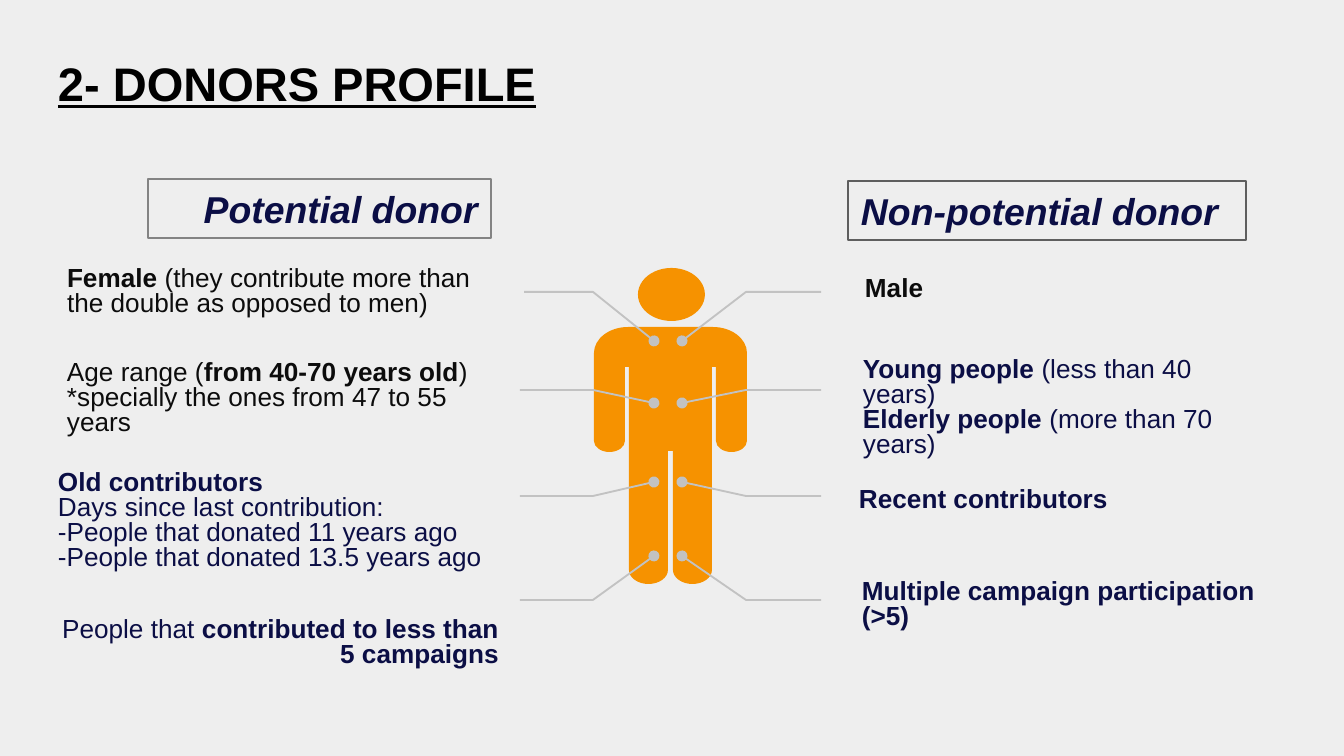
from dataclasses import dataclass

from lxml import etree
from pptx import Presentation
from pptx import util as u
from pptx.dml.color import RGBColor
from pptx.enum import shapes, text
from pptx.oxml.ns import qn

EMU_PER_PX = 914400 / 134.4
LEFT, RIGHT = text.PP_ALIGN.LEFT, text.PP_ALIGN.RIGHT


@dataclass(frozen=True)
class Theme:
    font: str = "Arial"
    background: str = "EEEEEE"
    title: str = "000000"
    dark: str = "0C0C0C"
    navy: str = "0B0E45"
    person: str = "F69200"
    leader: str = "C2C2C2"
    title_size: float = 25.2
    heading_size: int = 20
    body_size: int = 14


THEME = Theme()


def px(value):
    return u.Emu(round(value * EMU_PER_PX))


def rgb(color):
    return RGBColor.from_string(color)


def add_run(paragraph, words, size, color, bold=False, italic=False, underline=False):
    run = paragraph.add_run()
    run.text = words
    font = run.font
    font.name, font.size, font.color.rgb = THEME.font, u.Pt(size), rgb(color)
    font.bold, font.italic, font.underline = bold, italic, underline


def set_frame(frame, anchor, side=13, top=7, bottom=7):
    frame.word_wrap = True
    frame.vertical_anchor = anchor
    frame.margin_left = frame.margin_right = px(side)
    frame.margin_top, frame.margin_bottom = px(top), px(bottom)


def add_title(slide, words):
    title = slide.shapes.title
    title.left, title.top, title.width, title.height = map(px, (45, 40, 1253, 85))
    frame = title.text_frame
    set_frame(frame, text.MSO_ANCHOR.MIDDLE, top=13, bottom=13)
    frame.paragraphs[0].alignment = LEFT
    add_run(frame.paragraphs[0], words, THEME.title_size, THEME.title,
            bold=True, underline=True)


def add_heading(slide, box, words, outline, align):
    heading = slide.shapes.add_shape(shapes.MSO_SHAPE.RECTANGLE, *map(px, box))
    heading.shadow.inherit = False
    heading.fill.background()
    heading.line.color.rgb = rgb(outline)
    heading.line.width = u.Pt(0.75)
    frame = heading.text_frame
    set_frame(frame, text.MSO_ANCHOR.TOP)
    frame.auto_size = text.MSO_AUTO_SIZE.SHAPE_TO_FIT_TEXT
    frame.paragraphs[0].alignment = align
    add_run(frame.paragraphs[0], words, THEME.heading_size, THEME.navy,
            bold=True, italic=True)


def add_trait(slide, box, color, lines, align=LEFT, top=6):
    """Each line is a list of (words, bold) pairs."""
    frame = slide.shapes.add_textbox(*map(px, box)).text_frame
    set_frame(frame, text.MSO_ANCHOR.TOP, top=top)
    for index, line in enumerate(lines):
        paragraph = frame.add_paragraph() if index else frame.paragraphs[0]
        paragraph.line_spacing = 0.8
        paragraph.alignment = align
        for words, bold in line:
            add_run(paragraph, words, THEME.body_size, color, bold)


def add_outline(parent, points, close):
    start, *rest = [(px(x), px(y)) for x, y in points]
    builder = parent.shapes.build_freeform(*start, scale=1.0)
    builder.add_line_segments(rest, close=close)
    outline = builder.convert_to_shape()
    outline.shadow.inherit = False
    return outline


def add_leader(slide, points):
    """Bent line that ends in a round dot."""
    leader = add_outline(slide, points, close=False)
    leader.fill.background()
    leader.line.color.rgb = rgb(THEME.leader)
    leader.line.width = u.Pt(1)
    etree.SubElement(leader.line._get_or_add_ln(), qn("a:tailEnd"), type="oval")


def round_corners(outline):
    """Turn each pair of lines marked by a corner into one curve."""
    return [(point, outline[i - 1][:2] if i and outline[i - 1][2] else None)
            for i, (*point, is_corner) in enumerate(outline) if not is_corner]


def add_rounded_outline(parent, outline):
    """Outline of (x, y, is_corner); corners are rounded off with Bezier curves."""
    stops = round_corners(outline)
    shape = add_outline(parent, [stop for stop, _ in stops], close=True)
    left = min(x for (x, _), _ in stops)
    top = min(y for (_, y), _ in stops)
    segments = list(shape._element.iter(qn("a:lnTo")))
    for segment, (start, _), (end, corner) in zip(segments, stops, stops[1:]):
        if corner is None:
            continue
        controls = [[a + 0.55 * (c - a) for a, c in zip(anchor, corner)]
                    for anchor in (start, end)]
        bezier = etree.Element(qn("a:cubicBezTo"))
        for x, y in (*controls, end):
            etree.SubElement(bezier, qn("a:pt"), x=str(px(x - left)), y=str(px(y - top)))
        segment.getparent().replace(segment, bezier)
    return shape


def rounded_end(left, right, top, bottom):
    """Rounded lower end of an arm or leg, from left to right."""
    return [(left, top, False), (left, bottom, True),
            ((left + right) / 2, bottom, False),
            (right, bottom, True), (right, top, False)]


def add_person(slide, center=670.5):
    person = slide.shapes.add_group_shape()
    head = person.shapes.add_shape(shapes.MSO_SHAPE.OVAL, *map(px, (638, 268, 67, 53)))
    head.shadow.inherit = False
    left_half = [(628, 327, False), (594, 327, True), (594, 353, False),
                 *rounded_end(594, 625, 441, 452),
                 (625, 367, False), (629, 367, False),
                 *rounded_end(629, 668, 570, 584),
                 (668, 451, False)]
    right_half = [(2 * center - x, y, is_corner)
                  for x, y, is_corner in reversed(left_half)]
    body = add_rounded_outline(person, left_half + right_half)
    for part in (head, body):
        part.fill.solid()
        part.fill.fore_color.rgb = rgb(THEME.person)
        part.line.fill.background()


def main():
    deck = Presentation()
    deck.slide_width, deck.slide_height = px(1344), px(756)
    slide = deck.slides.add_slide(deck.slide_layouts[5])
    slide.background.fill.solid()
    slide.background.fill.fore_color.rgb = rgb(THEME.background)

    add_title(slide, "2- DONORS PROFILE")
    add_person(slide)

    for start, level, dot in ((524, 292, 341), (520, 390, 403),
                              (520, 496, 482), (520, 600, 556)):
        add_leader(slide, [(start, level), (593, level), (654, dot)])
        add_leader(slide, [(821, level), (746, level), (682, dot)])

    add_heading(slide, (148, 179, 343, 59), "Potential donor", "838383", RIGHT)
    add_trait(slide, (54, 261, 442, 90), THEME.dark, [
        [("Female", True),
         (" (they contribute more than the double as opposed to men)", False)]])
    add_trait(slide, (54, 355, 438, 90), THEME.dark, [
        [("Age range (", False), ("from 40-70 years old", True), (")", False)],
        [("*specially the ones from 47 to 55 years", False)]])
    add_trait(slide, (45, 465, 461, 108), THEME.navy, [
        [("Old contributors", True)],
        [("Days since last contribution:", False)],
        [("-People that donated 11 years ago", False)],
        [("-People that donated 13.5 years ago", False)]])
    add_trait(slide, (42, 573, 470, 90), THEME.navy, [
        [("People that ", False), ("contributed to less than 5 campaigns", True)]],
        align=RIGHT, top=48)

    add_heading(slide, (848, 181, 398, 59), "Non-potential donor", "5E5E5E", LEFT)
    add_trait(slide, (852, 272, 320, 71), THEME.dark, [[("Male", True)]])
    add_trait(slide, (850, 352, 418, 90), THEME.navy, [
        [("Young people", True), (" (less than 40 years)", False)],
        [("Elderly people", True), (" (more than 70 years)", False)]])
    add_trait(slide, (846, 482, 359, 90), THEME.navy, [[("Recent contributors", True)]])
    add_trait(slide, (849, 574, 470, 71), THEME.navy, [
        [("Multiple campaign participation (>5)", True)]])

    deck.save("out.pptx")


if __name__ == "__main__":
    main()
